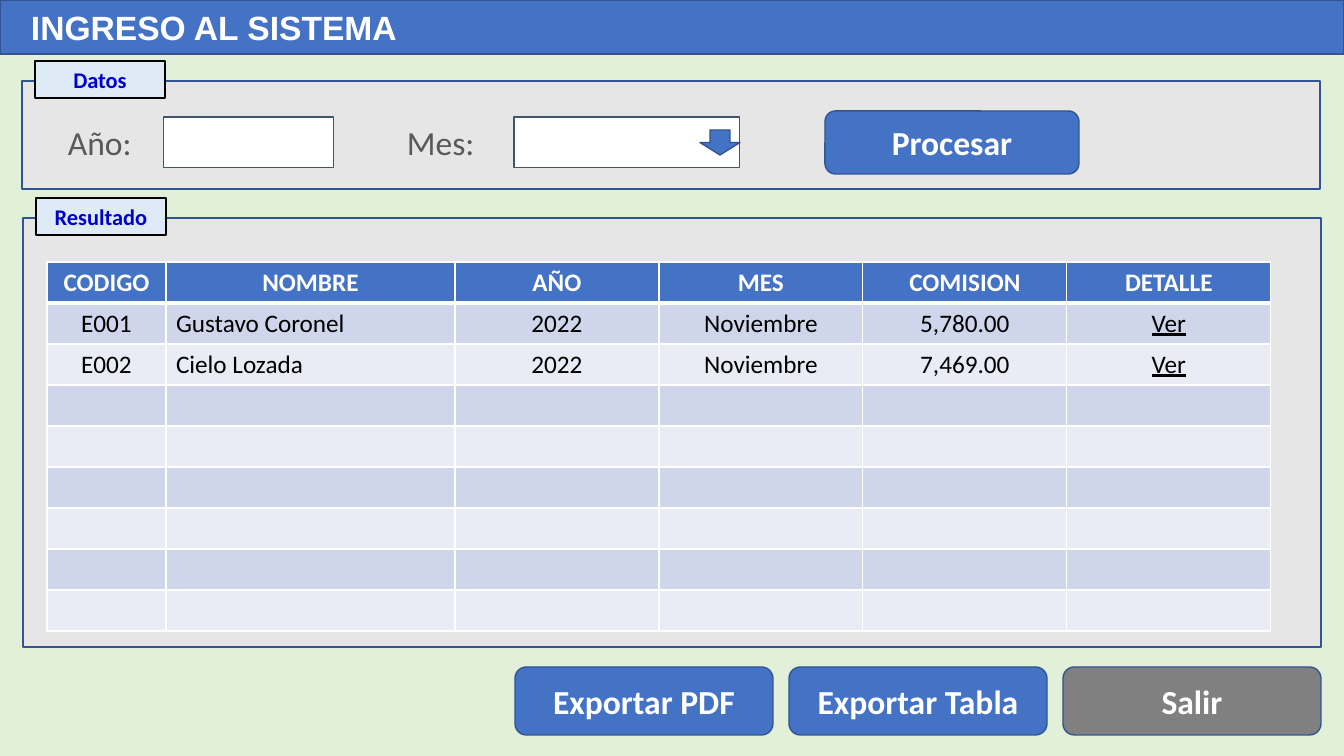
from lxml import etree
from pptx import Presentation
from pptx.dml.color import RGBColor
from pptx.enum.shapes import MSO_SHAPE
from pptx.enum.text import MSO_ANCHOR, PP_ALIGN
from pptx.oxml.ns import qn
from pptx.util import Pt

PX = 12192000 / 1344
RECT = MSO_SHAPE.RECTANGLE
ROUNDED = MSO_SHAPE.ROUNDED_RECTANGLE
DOWN_ARROW = MSO_SHAPE.DOWN_ARROW
LEFT, CENTER = PP_ALIGN.LEFT, PP_ALIGN.CENTER
TOP, MIDDLE = MSO_ANCHOR.TOP, MSO_ANCHOR.MIDDLE

BLUE, EDGE, GRAY, WHITE = "4472C4", "325491", "808080", "FFFFFF"
PANEL, TAG, TAG_TEXT, BLACK = "E7E6E6", "DEEBF7", "0000CC", "000000"
LABEL, INPUT_EDGE, PAGE = "595959", "44546A", "E2F0D9"
BANDS = ("E9EBF5", "CFD5EA")

COLUMNS = [("CODIGO", 119), ("NOMBRE", 289), ("AÑO", 204),
           ("MES", 204), ("COMISION", 204), ("DETALLE", 204)]
RECORDS = [
    ("E001", "Gustavo Coronel", "2022", "Noviembre", "5,780.00", "Ver"),
    ("E002", "Cielo Lozada", "2022", "Noviembre", "7,469.00", "Ver"),
]
ROW_COUNT, ROW_HEIGHT = 9, 41


def px(length):
    """Turn a pixel length into EMU."""
    return round(length * PX)


def color(value):
    """Turn a hex string into a colour."""
    return RGBColor.from_string(value)


def write(frame, text, size, ink, bold=False, align=LEFT, font="Calibri"):
    """Write one styled paragraph and return it."""
    para = frame.paragraphs[0]
    para.text = text
    para.alignment = align
    para.font.name = font
    para.font.size = Pt(size)
    para.font.bold = bold
    para.font.color.rgb = color(ink)
    return para


def add_box(page, kind, box, fill, edge=EDGE, width=1):
    """Add a filled, outlined shape in the given box."""
    shape = page.shapes.add_shape(kind, *map(px, box))
    shape.shadow.inherit = False
    shape.fill.solid()
    shape.fill.fore_color.rgb = color(fill)
    shape.line.color.rgb = color(edge)
    shape.line.width = Pt(width)
    return shape


def add_button(page, box, text, fill=BLUE):
    """Add a rounded button with a centred caption."""
    button = add_box(page, ROUNDED, box, fill)
    button.text_frame.vertical_anchor = MIDDLE
    write(button.text_frame, text, 24, WHITE, True, CENTER)


def add_label(page, box, text):
    """Add the caption of a form field."""
    frame = page.shapes.add_textbox(*map(px, box)).text_frame
    frame.word_wrap = True
    write(frame, text, 24, LABEL)


def add_panel(page, box, title):
    """Add a panel with its title tag over the top edge."""
    left, top, _, _ = box
    add_box(page, RECT, box, PANEL)
    tag = add_box(page, RECT, (left + 13, top - 20, 130, 37), TAG, BLACK)
    tag.text_frame.vertical_anchor = TOP
    write(tag.text_frame, title, 16, TAG_TEXT, True, CENTER)


def add_header(page, box):
    """Add the title bar."""
    frame = add_box(page, RECT, box, BLUE).text_frame
    frame.margin_left = px(31)
    frame.vertical_anchor = MIDDLE
    write(frame, "INGRESO AL SISTEMA", 24, WHITE, True, font="Arial")


def add_data(page, box):
    """Add the input panel with its fields and button."""
    left, top, _, _ = box
    add_panel(page, box, "Datos")
    row = top + 36
    add_label(page, (left + 36, row, 102, 51), "Año:")
    add_label(page, (left + 375, row, 105, 51), "Mes:")
    for offset, width in ((142, 170), (492, 226)):
        add_box(page, RECT, (left + offset, row, width, 51), WHITE, INPUT_EDGE, 0.75)
    add_box(page, DOWN_ARROW, (left + 678, row + 13, 40, 25), BLUE)
    add_button(page, (left + 803, top + 30, 254, 63), "Procesar")


def set_borders(cell, row):
    """Draw white cell borders, thicker under the heading row."""
    weights = {"L": 1, "R": 1, "T": 3 if row == 1 else 1, "B": 3 if row == 0 else 1}
    properties = cell._tc.get_or_add_tcPr()
    for side, weight in weights.items():
        line = etree.SubElement(properties, qn(f"a:ln{side}"), w=str(Pt(weight)))
        fill = etree.SubElement(line, qn("a:solidFill"))
        etree.SubElement(fill, qn("a:srgbClr"), val=WHITE)


def add_results(page, box):
    """Add the result panel with its table."""
    left, top, _, _ = box
    add_panel(page, box, "Resultado")
    names = [name for name, _ in COLUMNS]
    widths = [width for _, width in COLUMNS]
    area = (left + 24, top + 44, sum(widths), ROW_COUNT * ROW_HEIGHT)
    table = page.shapes.add_table(ROW_COUNT, len(names), *map(px, area)).table
    for column, width in zip(table.columns, widths):
        column.width = px(width)
    lines = [names] + RECORDS
    lines += [[""] * len(names)] * (ROW_COUNT - len(lines))
    for row, texts in enumerate(lines):
        table.rows[row].height = px(ROW_HEIGHT)
        heading = row == 0
        for index, text in enumerate(texts):
            cell = table.cell(row, index)
            set_borders(cell, row)
            cell.fill.solid()
            cell.fill.fore_color.rgb = color(BLUE if heading else BANDS[row % 2])
            if text:
                align = LEFT if index == 1 and not heading else CENTER
                ink = WHITE if heading else BLACK
                para = write(cell.text_frame, text, 18, ink, heading, align)
                para.font.underline = text == "Ver"


def add_actions(page, box):
    """Add the evenly spaced row of action buttons."""
    left, top, width, height = box
    actions = (("Exportar PDF", BLUE), ("Exportar Tabla", BLUE), ("Salir", GRAY))
    button_width = 258
    step = (width - button_width) / (len(actions) - 1)
    for index, (text, fill) in enumerate(actions):
        add_button(page, (left + index * step, top, button_width, height), text, fill)


def main():
    """Build and save the deck."""
    deck = Presentation()
    deck.slide_width, deck.slide_height = px(1344), px(756)
    page = deck.slides.add_slide(deck.slide_layouts[6])
    page.background.fill.solid()
    page.background.fill.fore_color.rgb = color(PAGE)
    add_header(page, (0, 0, 1344, 54))
    add_data(page, (22, 81, 1298, 108))
    add_results(page, (23, 218, 1298, 429))
    add_actions(page, (515, 667, 806, 68))
    deck.save("out.pptx")


if __name__ == "__main__":
    main()
